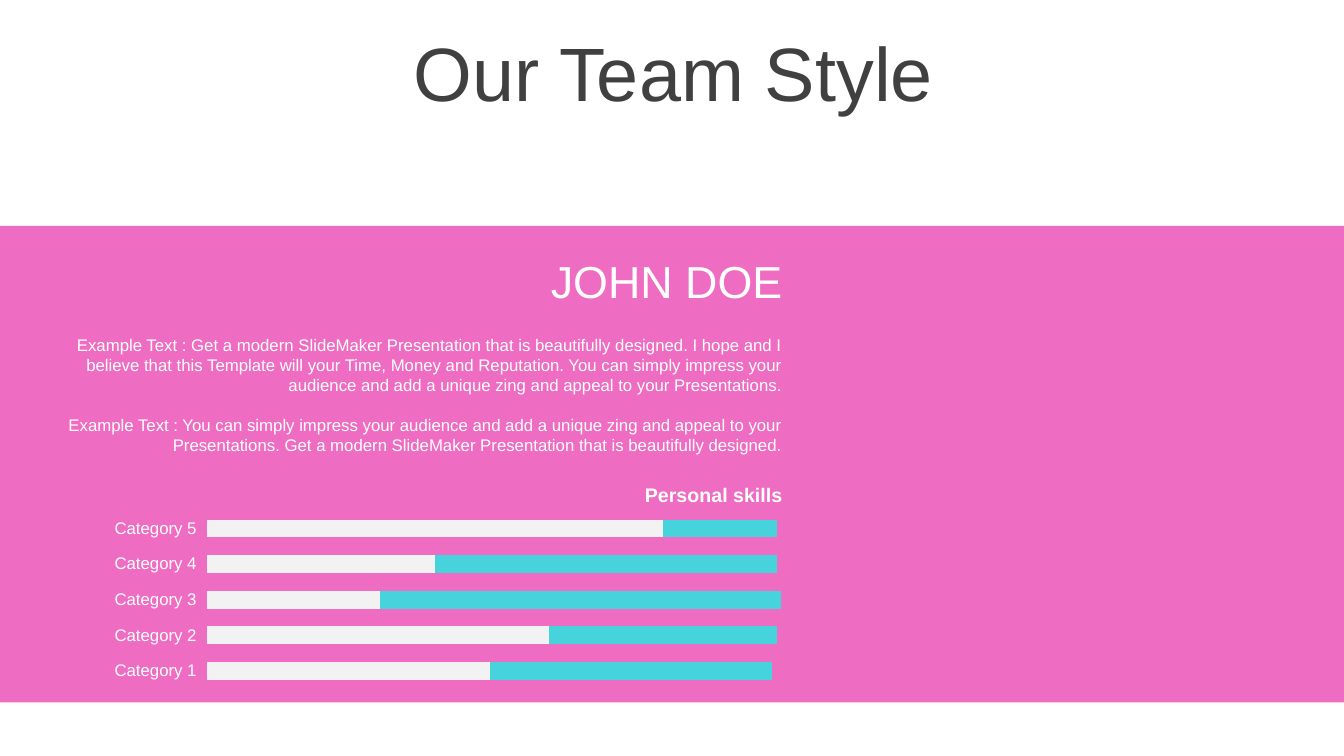
import pptx
import pptx.chart.data
import pptx.dml.color
import pptx.enum.chart
import pptx.enum.shapes
import pptx.enum.text
import pptx.oxml
import pptx.oxml.ns
import pptx.util

Cm = pptx.util.Cm
Pt = pptx.util.Pt
Align = pptx.enum.text.PP_ALIGN
Fit = pptx.enum.text.MSO_AUTO_SIZE


def tint(code):
    return pptx.dml.color.RGBColor.from_string(code)


def style(font, size, color, face="Arial", bold=False):
    font.name = face
    font.size = Pt(size)
    font.color.rgb = tint(color)
    font.bold = bold


def write(frame, text, size=12, color="FFFFFF", bold=False,
          align=Align.RIGHT, gap=0, line=None):
    for index, part in enumerate(text.split("\n")):
        para = frame.paragraphs[0] if index == 0 else frame.add_paragraph()
        para.alignment = align
        if index:
            para.space_before = Pt(gap)
        if line:
            para.line_spacing = line
        run = para.add_run()
        run.text = part
        style(run.font, size, color, bold=bold)


class Deck:
    pink = "EE6CC1"
    pale = "F2F2F2"
    aqua = "47D3DC"
    white = "FFFFFF"
    dark = "404040"

    def __init__(self):
        self.file = pptx.Presentation()
        self.file.slide_width = Cm(33.87)
        self.file.slide_height = Cm(19.05)
        self.slide = self.file.slides.add_slide(self.file.slide_layouts[6])

    def band(self, top, height):
        kind = pptx.enum.shapes.MSO_SHAPE.ROUNDED_RECTANGLE
        shape = self.slide.shapes.add_shape(
            kind, 0, Cm(top), self.file.slide_width, Cm(height))
        shape.adjustments[0] = 0
        shape.shadow.inherit = False
        shape.fill.solid()
        shape.fill.fore_color.rgb = tint(self.pink)
        shape.line.fill.background()

    def text(self, box, words, fit=Fit.SHAPE_TO_FIT_TEXT,
             anchor=pptx.enum.text.MSO_ANCHOR.TOP, **look):
        frame = self.slide.shapes.add_textbox(*map(Cm, box)).text_frame
        frame.word_wrap = True
        frame.auto_size = fit
        frame.vertical_anchor = anchor
        write(frame, words, **look)

    def bars(self, box, names, rows, area):
        data = pptx.chart.data.CategoryChartData()
        data.categories = names
        for name, values, _ in rows:
            data.add_series(name, values)
        kind = pptx.enum.chart.XL_CHART_TYPE.BAR_STACKED
        chart = self.slide.shapes.add_chart(kind, *map(Cm, box), data).chart
        chart.has_legend = False
        chart.has_title = False
        style(chart.font, 18, "000000")

        plot = chart.plots[0]
        plot.gap_width = 100
        plot.overlap = 100
        plot.vary_by_categories = False
        for series, (_, _, color) in zip(plot.series, rows):
            series.format.fill.solid()
            series.format.fill.fore_color.rgb = tint(color)

        axis = chart.category_axis
        axis.format.line.fill.background()
        axis.has_major_gridlines = False
        axis.major_tick_mark = pptx.enum.chart.XL_TICK_MARK.OUTSIDE
        style(axis.tick_labels.font, 12, self.white)
        scale = chart.value_axis
        scale.minimum_scale = 0
        scale.maximum_scale = 150
        scale.has_major_gridlines = False
        scale.visible = False
        self.place(chart, area)

    def place(self, chart, area):
        qn = pptx.oxml.ns.qn
        plot = next(chart.element.iter(qn("c:plotArea")))
        for old in plot.findall(qn("c:layout")):
            plot.remove(old)
        modes = "".join(f'<c:{key}Mode val="edge"/>' for key in "xy")
        sizes = "".join(f'<c:{key} val="{val}"/>'
                        for key, val in zip("xywh", area))
        plot.insert(0, pptx.oxml.parse_xml(
            f'<c:layout {pptx.oxml.ns.nsdecls("c")}><c:manualLayout>'
            f'<c:layoutTarget val="inner"/>{modes}{sizes}'
            '</c:manualLayout></c:layout>'))


def main():
    deck = Deck()
    deck.band(5.69, 12.01)
    deck.text((0.89, 0.94, 32.16, 2.01), "Our Team Style", fit=Fit.NONE,
              anchor=pptx.enum.text.MSO_ANCHOR.MIDDLE, size=54,
              color=deck.dark, align=Align.CENTER, line=0.9)

    left, width = 0.74, 19.23
    about = (
        "Example Text : Get a modern SlideMaker Presentation that is "
        "beautifully designed. I hope and I believe that this Template will "
        "your Time, Money and Reputation. You can simply impress your "
        "audience and add a unique zing and appeal to your Presentations.\n"
        "Example Text : You can simply impress your audience and add a "
        "unique zing and appeal to your Presentations. Get a modern "
        "SlideMaker Presentation that is beautifully designed."
    )
    deck.text((left, 8.31, width, 3.33), about, gap=14)
    deck.text((left, 6.27, width, 1.63), "JOHN DOE", size=32)
    deck.text((left, 12.04, width, 0.86), "Personal skills",
              size=14, bold=True)

    names = [f"Category {num}" for num in range(1, 6)]
    rows = [
        ("Series 1", (62, 75, 38, 50, 100), deck.pale),
        ("Series 2", (62, 50, 88, 75, 25), deck.aqua),
    ]
    deck.bars((2.57, 12.78, 20.29, 4.67), names, rows,
              (0.13, 0.02, 0.85, 0.96))
    deck.file.save("out.pptx")


if __name__ == "__main__":
    main()
